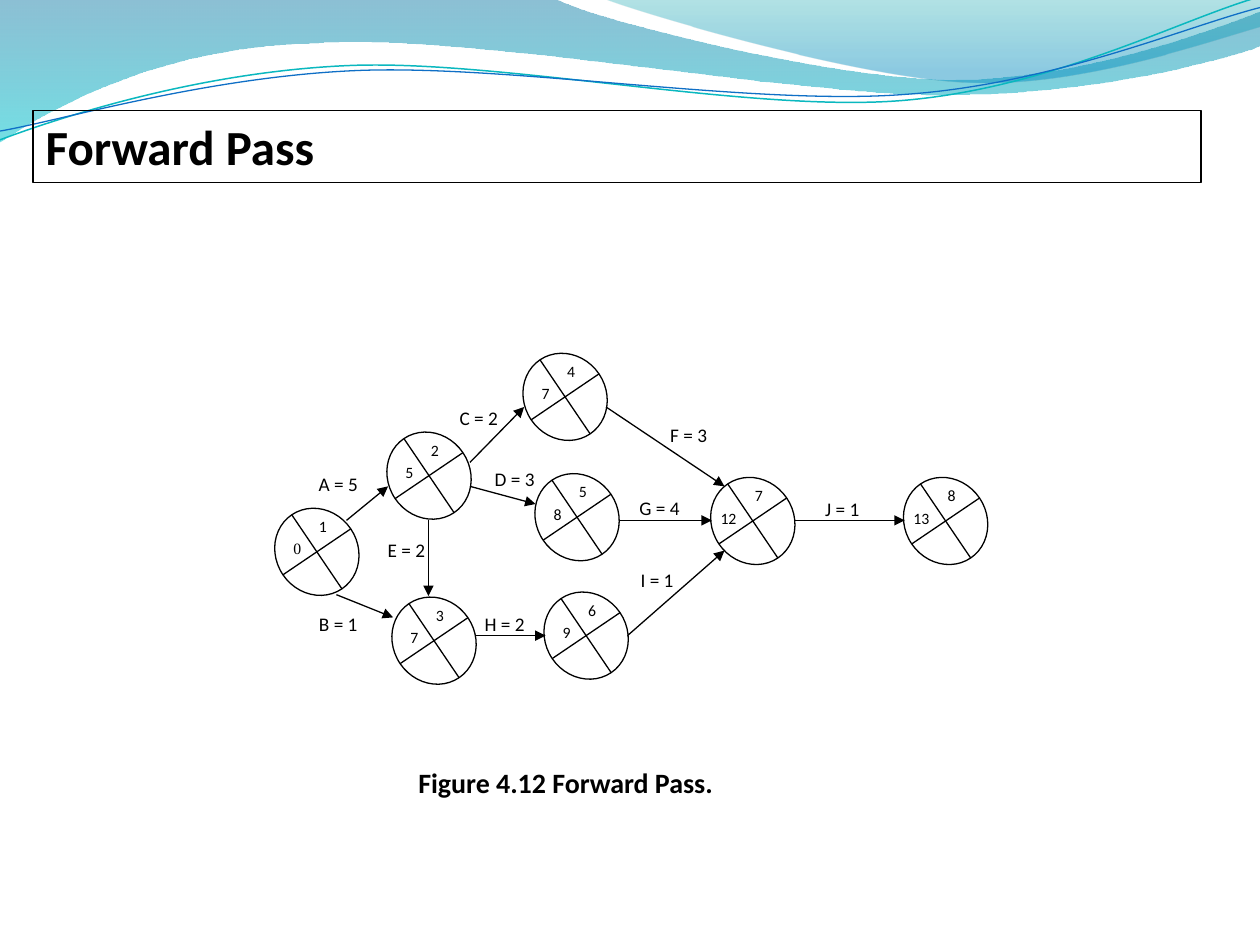
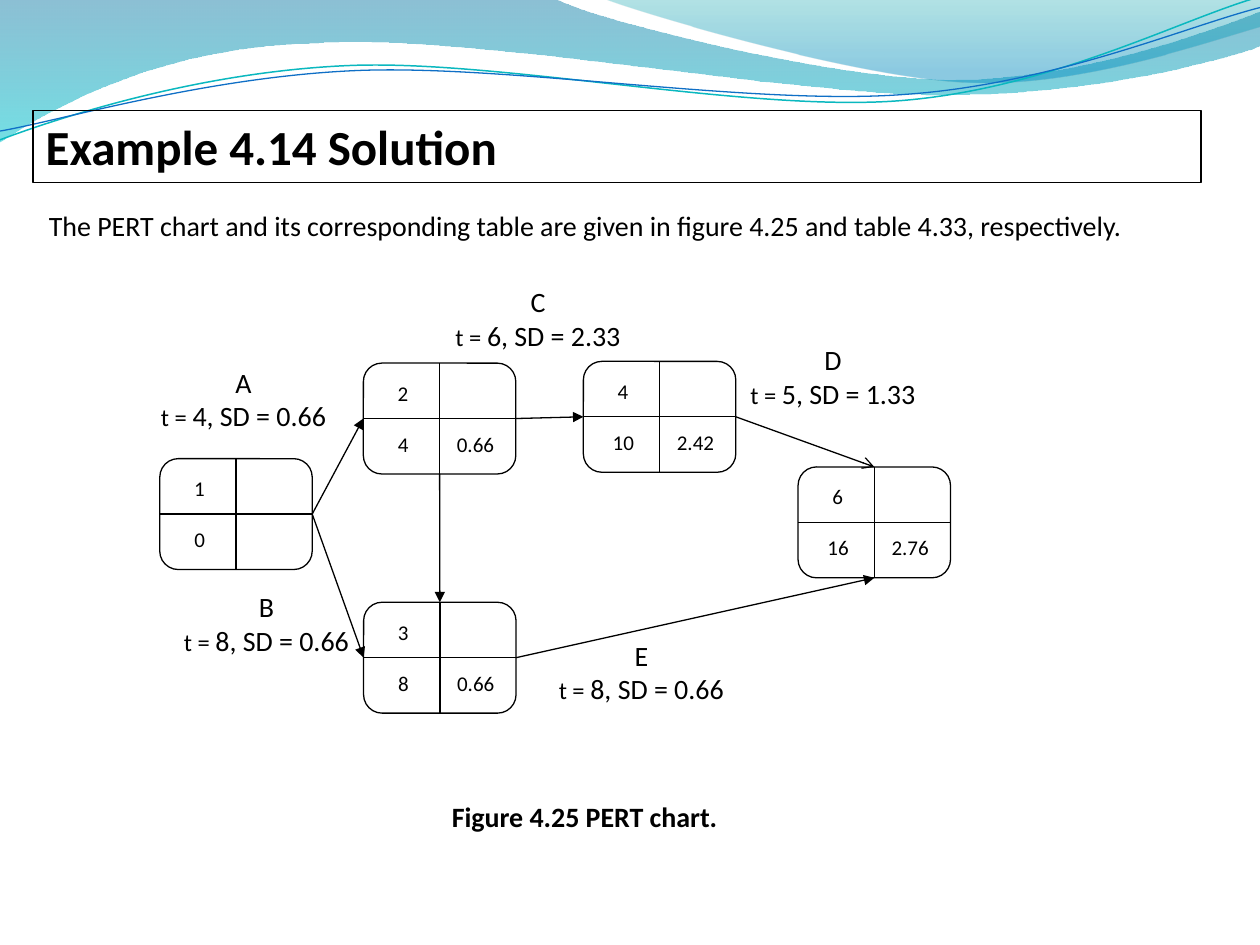
import math
from dataclasses import dataclass
from typing import NamedTuple, Optional

import pptx
import pptx.dml.color
import pptx.enum.shapes
import pptx.enum.text
import pptx.oxml.ns
import pptx.util
from lxml import etree

COLORS = {
    "ink": "000000", "paper": "FFFFFF",
    "deep blue": "0074A1", "cyan": "00C6CF", "teal": "00A1A9", "azure": "008BBF",
    "teal line": "0AB8BF", "blue line": "0F6FC6",
}
SLIDE_COLUMNS, SLIDE_ROWS = 100, 75
CELL = 91440  # EMU side of one square grid cell
FONT = "Calibri"
HAIRLINE = 0.75
FIRST_WAVE_ID = 101

PRESETS = pptx.enum.shapes.MSO_SHAPE
ALIGN = pptx.enum.text.PP_ALIGN
ANCHOR = pptx.enum.text.MSO_ANCHOR
TOP, LEFT, BOTTOM, RIGHT = range(4)


class Area(NamedTuple):
    """Left, top, width and height in grid columns and rows."""
    left: float
    top: float
    width: float
    height: float


class Run(NamedTuple):
    text: str
    size: float
    bold: bool = False
    font: str = FONT


class Stop(NamedTuple):
    color: str
    position: float
    opacity: int


@dataclass(frozen=True)
class Wave:
    """Path steps hold one point (line) or three points (Bézier curve)."""
    start: tuple
    steps: tuple
    stops: tuple = ()
    line: str = ""
    line_width: float = HAIRLINE
    center: tuple = (0, 0)
    tilt: float = 0


@dataclass(frozen=True)
class Event:
    number: str
    earliest: str
    left: float
    top: float
    font: str = FONT


@dataclass(frozen=True)
class Activity:
    label: str
    label_at: tuple
    start: tuple
    end: tuple


@dataclass(frozen=True)
class Milestone:
    number: str
    time: str
    left: float
    top: float
    deviation: str = ""


@dataclass(frozen=True)
class Estimate:
    name: str
    value: str
    left: float
    top: float


class Dependency(NamedTuple):
    source: str
    source_side: int
    target: str
    target_side: int
    head: str = "triangle"


WAVES = (
    Wave((0, 0), ((44, -0.1), (47.6, 1.7, 66.4, 6.3, 75.8, 6.3),
                  (85.3, 6.3, 95.8, 2.6, 100, 0.9), (100.1, 3.6),
                  (98.3, 4.4, 87, 7.6, 74.6, 7.5), (62.2, 7.5, 38.2, 2.8, 25.7, 3.4),
                  (12.9, 3.6, 4.6, 8.3, -0.1, 11.3)),
         stops=(Stop("deep blue", 0, 45), Stop("cyan", 1, 55))),
    Wave((47.9, -0.1), ((50.9, 1.1, 68.2, 6.2, 76.9, 6.5),
                        (85.6, 6.9, 96.1, 3.2, 100, 2.1), (100, 0)),
         stops=(Stop("teal", 0, 30), Stop("azure", 0.8, 45))),
    Wave((0, 11.1), ((4.8, 9.3, 15.8, 5.7, 27.7, 5.2), (39.5, 4.7, 59.3, 8.9, 71.3, 8),
                     (83.3, 7.1, 93.8, 1.5, 99.8, -0.2)),
         line="teal line", line_width=0.85, center=(49.9, 5.75), tilt=-2.7),
    Wave((0, 10.4), ((4.7, 9.6, 16.4, 6.1, 28.3, 5.6), (40.3, 5.1, 59.7, 8.4, 71.7, 7.5),
                     (83.6, 6.7, 94.1, 2.1, 100, 0.6)),
         line="blue line", center=(49.95, 5.9), tilt=-2.7),
)
EVENTS = (
    Event("1", "0", 21.9, 40.25, "Times New Roman"), Event("2", "5", 30.8, 34.2),
    Event("3", "7", 31.2, 47.3), Event("4", "7", 41.6, 27.95), Event("5", "8", 42.55, 37.5),
    Event("6", "9", 43.27, 46.9), Event("7", "12", 56.5, 37.8), Event("8", "13", 71.8, 37.8),
)
ACTIVITIES = (
    Activity("A = 5", (24.3, 37.55), (27.5, 41.3), (30.8, 38.6)),
    Activity("B = 1", (24.3, 48.7), (26.7, 47.2), (31.2, 49)),
    Activity("C = 2", (35.45, 32.3), (37.3, 36.7), (41.6, 32.3)),
    Activity("D = 3", (38.3, 37.15), (37.3, 38.6), (42.5, 40)),
    Activity("E = 2", (29.7, 42.8), (34, 41.3), (34, 47.3)),
    Activity("F = 3", (52.1, 33.65), (48.1, 32.3), (57.5, 38.6)),
    Activity("G = 4", (49.8, 39.45), (49.1, 41.3), (56.5, 41.3)),
    Activity("H = 2", (37.5, 48.65), (37.7, 50.45), (43.3, 50.45)),
    Activity("I = 1", (49.6, 45.2), (49.8, 50.45), (57.5, 43.7)),
    Activity("J = 1", (64.3, 39.55), (63, 41.3), (71.8, 41.3)),
)
MILESTONES = (
    Milestone("1", "0", 12.68, 36.4), Milestone("2", "4", 28.84, 28.82, "0.66"),
    Milestone("4", "10", 46.3, 28.68, "2.42"), Milestone("3", "8", 28.86, 47.8, "0.66"),
    Milestone("6", "16", 63.34, 37.06, "2.76"),
)
DEPENDENCIES = (
    Dependency("1", RIGHT, "2", LEFT), Dependency("1", RIGHT, "3", LEFT),
    Dependency("2", BOTTOM, "3", TOP), Dependency("2", RIGHT, "4", LEFT),
    Dependency("3", RIGHT, "6", BOTTOM), Dependency("4", RIGHT, "6", TOP, "arrow"),
)
ESTIMATES = (
    Estimate("A", "4, SD = 0.66", 11.63, 28.5), Estimate("B", "8, SD = 0.66", 13.45, 46.3),
    Estimate("C", "6, SD = 2.33", 35, 22.1), Estimate("D", "5, SD = 1.33", 58.4, 26.7),
    Estimate("E", "8, SD = 0.66", 43.2, 50.15),
)


def grid(cells: float) -> pptx.util.Emu:
    return pptx.util.Emu(round(cells * CELL))


def tag(name: str) -> str:
    return pptx.oxml.ns.qn(f"a:{name}")


def rgb(name: str) -> pptx.dml.color.RGBColor:
    return pptx.dml.color.RGBColor.from_string(COLORS[name])


def outline(shape, color: str = "ink", width: float = HAIRLINE) -> None:
    shape.line.color.rgb = rgb(color)
    shape.line.width = pptx.util.Pt(width)


def write(shape, paragraphs: list, align=ALIGN.LEFT, anchor=ANCHOR.TOP,
          inset: Optional[float] = None, after: float = 0) -> None:
    """Fill a shape with paragraphs, each a list of runs."""
    frame = shape.text_frame
    frame.word_wrap = True
    frame.vertical_anchor = anchor
    frame.auto_size = pptx.enum.text.MSO_AUTO_SIZE.NONE
    if inset is not None:
        frame.margin_left = frame.margin_top = grid(inset)
        frame.margin_right = frame.margin_bottom = grid(inset)
    for index, runs in enumerate(paragraphs):
        paragraph = frame.add_paragraph() if index else frame.paragraphs[0]
        paragraph.alignment = align
        if after:
            paragraph.space_after = pptx.util.Pt(after)
        for text, size, bold, font in runs:
            run = paragraph.add_run()
            run.text = text
            run.font.size = pptx.util.Pt(size)
            run.font.bold = bold
            run.font.name = font
            run.font.color.rgb = rgb("ink")


def add_text(slide, area: Area, *paragraphs: list, **style) -> None:
    write(slide.shapes.add_textbox(*map(grid, area)), list(paragraphs), **style)


def add_preset(slide, preset, area: Area, fill: str = "", lined: bool = True):
    shape = slide.shapes.add_shape(preset, *map(grid, area))
    shape.shadow.inherit = False
    if fill:
        shape.fill.solid()
        shape.fill.fore_color.rgb = rgb(fill)
    else:
        shape.fill.background()
    if lined:
        outline(shape)
    else:
        shape.line.fill.background()
    return shape


def add_line(slide, start: tuple = (0, 0), end: tuple = (0, 0), head: str = ""):
    line = slide.shapes.add_connector(pptx.enum.shapes.MSO_CONNECTOR.STRAIGHT,
                                      *map(grid, (*start, *end)))
    outline(line)
    if head:
        etree.SubElement(line.line._get_or_add_ln(), tag("tailEnd"), type=head)
    etree.SubElement(line._element.spPr, tag("effectLst"))
    return line


def join(slide, source, source_side: int, target, target_side: int, head: str = "") -> None:
    line = add_line(slide, head=head)
    line.begin_connect(source, source_side)
    line.end_connect(target, target_side)


def wave_points(wave: Wave) -> list:
    """List anchors and handles, turned level so that the tilt can be set as rotation."""
    flat = wave.start + sum(wave.steps, ())
    cos, sin = math.cos(math.radians(-wave.tilt)), math.sin(math.radians(-wave.tilt))
    center_x, center_y = wave.center
    offsets = [(x - center_x, y - center_y) for x, y in zip(flat[::2], flat[1::2])]
    return [(grid(center_x + x * cos - y * sin), grid(center_y + x * sin + y * cos))
            for x, y in offsets]


def bend(shape, steps: tuple) -> None:
    """Turn the line segments of each three-point step into one Bézier curve."""
    segments = iter(shape._element.spPr.findall(".//" + tag("lnTo")))
    for step in steps:
        group = [next(segments) for _ in range(len(step) // 2)]
        if len(group) == 3:
            curve = etree.Element(tag("cubicBezTo"))
            group[0].addprevious(curve)
            for segment in group:
                curve.append(segment[0])
                segment.getparent().remove(segment)


def add_wave(slide, wave: Wave):
    start, *rest = wave_points(wave)
    builder = slide.shapes.build_freeform(*start)
    builder.add_line_segments(rest, close=bool(wave.stops))
    shape = builder.convert_to_shape()
    bend(shape, wave.steps)
    shape.rotation = wave.tilt
    shape.shadow.inherit = False
    if not wave.stops:
        shape.fill.background()
        outline(shape, wave.line, wave.line_width)
        return shape
    shape.line.fill.background()
    shape.fill.gradient()
    shape.fill.gradient_angle = 270
    for gradient_stop, stop in zip(shape.fill.gradient_stops, wave.stops):
        gradient_stop.color.rgb = rgb(stop.color)
        gradient_stop.position = stop.position
        color = gradient_stop._gs.find(tag("srgbClr"))
        etree.SubElement(color, tag("alpha"), val=str(stop.opacity * 1000))
    return shape


def move_waves_to_master(deck, slide) -> None:
    """Draw the waves on a slide, then hand them to the master, behind its placeholders."""
    for index, wave in enumerate(WAVES):
        element = add_wave(slide, wave)._element
        element.nvSpPr.cNvPr.set("id", str(FIRST_WAVE_ID + index))
        deck.slide_master.shapes._spTree.insert(2 + index, element)


def add_titled_slide(deck, title: str, caption: str, caption_at: tuple):
    slide = deck.slides.add_slide(deck.slide_layouts.get_by_name("Title Only"))
    heading = slide.shapes.title
    heading.left, heading.top, heading.width, heading.height = map(
        grid, Area(2.63, 8.77, 92.7, 5.7))
    outline(heading)
    write(heading, [[Run(title, 28, True)]])
    add_text(slide, Area(*caption_at, 49, 3.7), [Run(caption, 16, True)], align=ALIGN.CENTER)
    return slide


def add_event(slide, event: Event) -> None:
    left, top = event.left, event.top
    circle = add_preset(slide, PRESETS.FLOWCHART_OR, Area(left, top, 6.5, 7.1), "paper")
    circle.rotation = 325.9
    add_text(slide, Area(left + 2.42, top + 0.28, 2.4, 2.3), [Run(event.number, 9)], after=10)
    shift, width = (0.4, 2.4) if len(event.earliest) == 1 else (-0.3, 3.5)
    add_text(slide, Area(left + shift, top + 2.05, width, 2.3),
             [Run(event.earliest, 9, font=event.font)], after=10)


def add_milestone(slide, milestone: Milestone):
    left, top = milestone.left, milestone.top
    box = add_preset(slide, PRESETS.ROUNDED_RECTANGLE, Area(left, top, 12.1, 8.8))
    join(slide, box, TOP, box, BOTTOM)
    join(slide, box, LEFT, box, RIGHT)
    for text, x, y in ((milestone.number, 0.3, 1.35), (milestone.time, 0.32, 5.4),
                       (milestone.deviation, 6.05, 5.4)):
        if text:
            add_text(slide, Area(left + x, top + y, 5.7, 2), [Run(text, 12)],
                     align=ALIGN.CENTER, inset=0)
    return box


def build_forward_pass(deck) -> None:
    slide = add_titled_slide(deck, "Forward Pass", "Figure 4.12 Forward Pass.", (20.4, 60.3))
    move_waves_to_master(deck, slide)
    for activity in ACTIVITIES:
        label = add_preset(slide, PRESETS.RECTANGLE, Area(*activity.label_at, 5.1, 1.7),
                           "paper", lined=False)
        write(label, [[Run(activity.label, 11)]], ALIGN.CENTER, ANCHOR.MIDDLE, 0, after=10)
    for event in EVENTS:
        add_event(slide, event)
    for activity in ACTIVITIES:
        add_line(slide, activity.start, activity.end, "triangle")


def build_pert_chart(deck) -> None:
    slide = add_titled_slide(deck, "Example 4.14 Solution", "Figure 4.25 PERT chart.",
                             (21.9, 63))
    add_text(slide, Area(2.9, 16, 92.7, 3.7),
             [Run("The PERT chart and its corresponding table are given in "
                  "figure 4.25 and table 4.33, respectively.", 16)], anchor=ANCHOR.MIDDLE)
    boxes = {milestone.number: add_milestone(slide, milestone) for milestone in MILESTONES}
    for link in DEPENDENCIES:
        join(slide, boxes[link.source], link.source_side,
             boxes[link.target], link.target_side, link.head)
    for estimate in ESTIMATES:
        add_text(slide, Area(estimate.left, estimate.top, 15.4, 6.4), [Run(estimate.name, 16)],
                 [Run("t = ", 14), Run(estimate.value, 16)], align=ALIGN.CENTER)


def main() -> None:
    deck = pptx.Presentation()
    deck.slide_width, deck.slide_height = grid(SLIDE_COLUMNS), grid(SLIDE_ROWS)
    build_forward_pass(deck)
    build_pert_chart(deck)
    deck.save("out.pptx")


if __name__ == "__main__":
    main()
